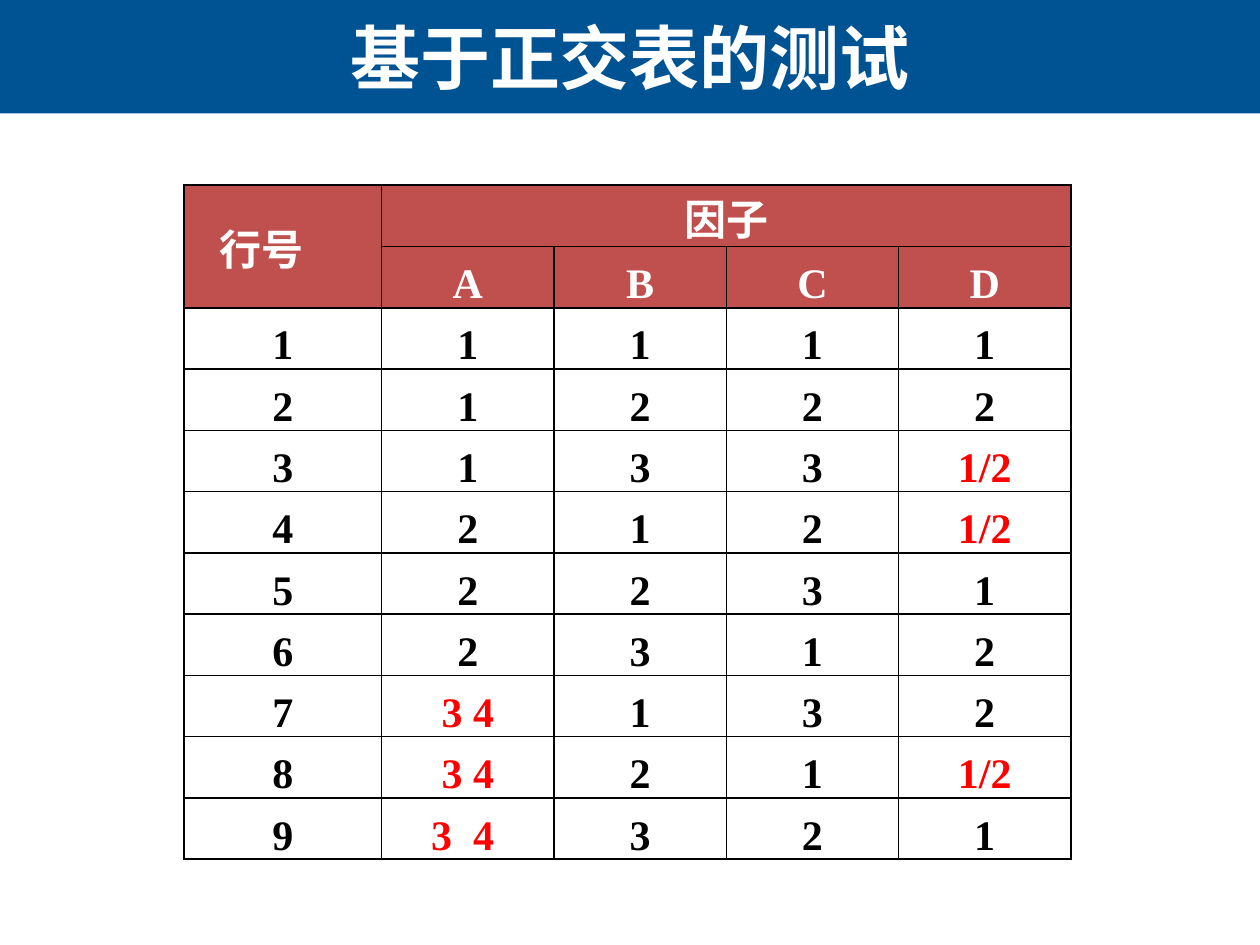
from lxml import etree
from pptx import Presentation
from pptx import util as u
from pptx.dml.color import RGBColor
from pptx.enum import shapes, text
from pptx.oxml import ns

WIDE, HIGH = u.Inches(10), u.Inches(7.5)
HUES = {"band": "005392", "head": "C0504D", "cell": "FFFFFF",
        "light": "FFFFFF", "dark": "000000", "mark": "FF0000"}
SANS, SERIF = "Noto Sans CJK SC", "Times New Roman"
TITLE = {"name": SANS, "size": u.Pt(40), "bold": True}
ENTRY = {"name": SERIF, "size": u.Pt(24), "bold": True}
INSET = {"margin_left": u.Inches(0.01), "margin_right": u.Inches(0.01),
         "margin_top": u.Inches(0.01), "margin_bottom": 0}
HEADS = [["行号　", "因子", "", "", ""], ["", "A", "B", "C", "D"]]
RUNS = [["1", "1", "1", "1"],
        ["1", "2", "2", "2"],
        ["1", "3", "3", "1/2"],
        ["2", "1", "2", "1/2"],
        ["2", "2", "3", "1"],
        ["2", "3", "1", "2"],
        ["#4", "1", "3", "2"],
        ["#4", "2", "1", "1/2"],
        ["3  4 ", "3", "2", "1"]]


def hue(key):
    return RGBColor.from_string(HUES[key])


def assign(item, form):
    for key, val in form.items():
        setattr(item, key, val)


def add(node, tag, **attrs):
    return etree.SubElement(node, ns.qn(tag), attrs)


def paint(item, key):
    item.fill.solid()
    item.fill.fore_color.rgb = hue(key)


def write(para, words, form, key):
    para.alignment = text.PP_ALIGN.CENTER
    run = para.add_run()
    run.text = words
    assign(run.font, form)
    run.font.color.rgb = hue(key)
    add(run._r.get_or_add_rPr(), "a:ea", typeface=SANS)


def number(para, start):
    props = para._p.get_or_add_pPr()
    indent = u.Inches(0.25)
    props.set("marL", str(indent))
    props.set("indent", str(-indent))
    add(props, "a:buFont", typeface="+mj-lt")
    add(props, "a:buAutoNum", type="arabicPlain", startAt=str(start))


def rule(cell):
    props = cell._tc.get_or_add_tcPr()
    for spot, side in enumerate("LRTB"):
        line = add(props, "a:ln" + side, w=str(u.Pt(1)))
        add(add(line, "a:solidFill"), "a:srgbClr", val=HUES["dark"])
        props.insert(spot, line)


def banner(slide, left, top, width, height):
    band = slide.shapes.add_shape(shapes.MSO_SHAPE.RECTANGLE, left, top, width, height)
    band.shadow.inherit = False
    paint(band, "band")
    band.line.fill.background()
    box = slide.shapes.add_textbox(left, top, width, height).text_frame
    assign(box, {"word_wrap": True, "vertical_anchor": text.MSO_ANCHOR.MIDDLE})
    write(box.paragraphs[0], "基于正交表的测试", TITLE, "light")


def fill(cell, words, head):
    assign(cell, INSET)
    cell.vertical_anchor = text.MSO_ANCHOR.BOTTOM
    paint(cell, "head" if head else "cell")
    rule(cell)
    if not words:
        return
    para = cell.text_frame.paragraphs[0]
    if words.startswith("#"):
        number(para, 3)
    key = "light" if head else "mark" if len(words) > 1 else "dark"
    write(para, words.lstrip("#"), ENTRY, key)


def array(slide, left, top, width, height):
    rows = HEADS + [[str(num), *run] for num, run in enumerate(RUNS, 1)]
    count = len(rows[0])
    table = slide.shapes.add_table(len(rows), count, left, top, width, height).table
    assign(table, {"first_row": False, "horz_banding": False})
    first = round(width * 0.223)
    for spot, col in enumerate(table.columns):
        col.width = (width - first) // (count - 1) if spot else first
    for row in table.rows:
        row.height = height // len(rows)
    for y, row in enumerate(rows):
        for x, words in enumerate(row):
            fill(table.cell(y, x), words, y < len(HEADS))
    label = table.cell(0, 0)
    label.merge(table.cell(1, 0))
    label.vertical_anchor = text.MSO_ANCHOR.MIDDLE
    table.cell(0, 1).merge(table.cell(0, count - 1))


def main():
    deck = Presentation()
    assign(deck, {"slide_width": WIDE, "slide_height": HIGH})
    slide = deck.slides.add_slide(deck.slide_layouts[6])
    banner(slide, 0, 0, WIDE, round(HIGH * 0.12))
    array(slide, u.Inches(1.46), u.Inches(1.47), u.Inches(7.04), u.Inches(5.35))
    deck.save("out.pptx")


if __name__ == "__main__":
    main()
